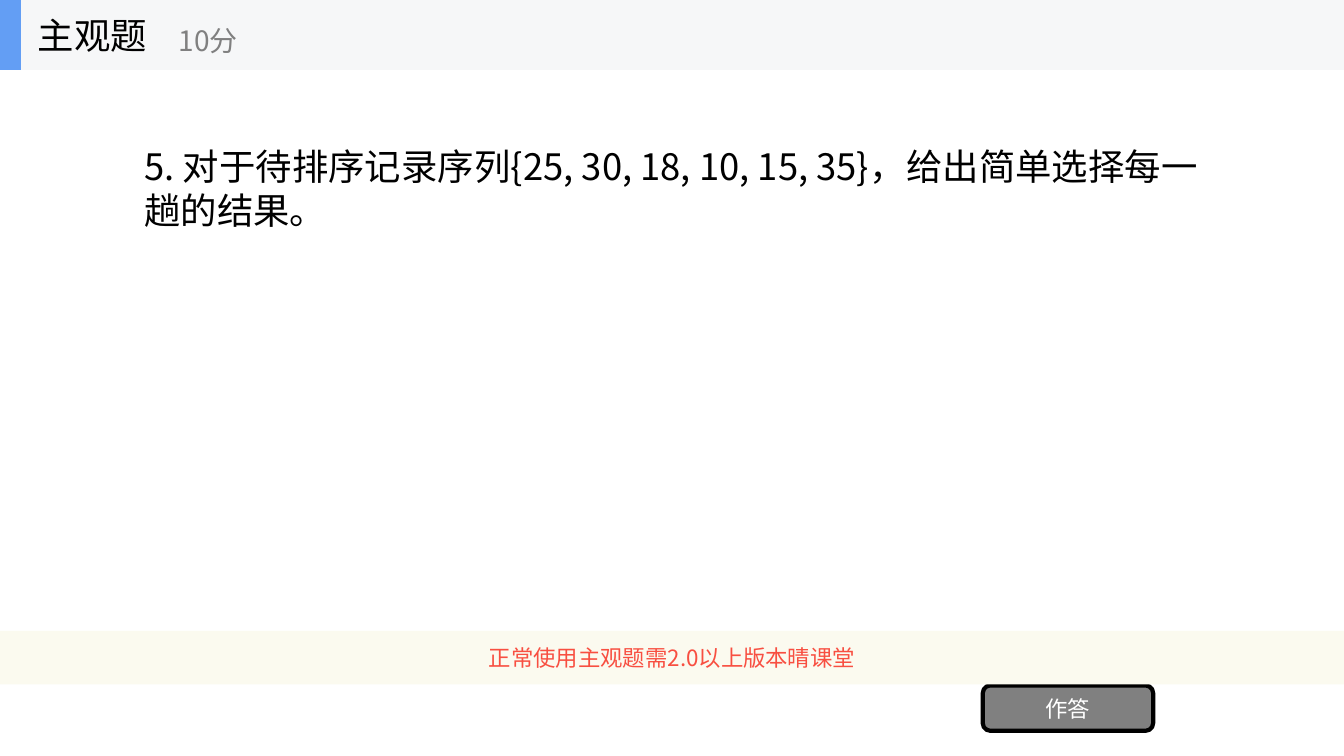
from lxml import etree
from pptx import Presentation
from pptx import util as u
from pptx.dml.color import RGBColor
from pptx.enum import shapes, text
from pptx.oxml.ns import qn

FONT = "Noto Sans CJK SC"
BLACK = RGBColor(0x00, 0x00, 0x00)
WHITE = RGBColor(0xFF, 0xFF, 0xFF)
GRAY = RGBColor(0x80, 0x80, 0x80)
PALE_GRAY = RGBColor(0xF6, 0xF7, 0xF8)
BLUE = RGBColor(0x63, 0x9E, 0xF4)
CREAM = RGBColor(0xFB, 0xFA, 0xEF)
RED = RGBColor(0xF8, 0x4F, 0x41)
RECT = shapes.MSO_SHAPE.RECTANGLE
ROUNDED = shapes.MSO_SHAPE.ROUNDED_RECTANGLE
LEFT, CENTER = text.PP_ALIGN.LEFT, text.PP_ALIGN.CENTER
WIDTH, HEIGHT = 960, 540
HEADER_HEIGHT = 50


def add_block(parent, preset, box, fill):
    block = parent.add_shape(preset, *map(u.Pt, box))
    block.shadow.inherit = False
    block.fill.solid()
    block.fill.fore_color.rgb = fill
    block.line.fill.background()
    return block


def write(shape, words, size, color, align=LEFT):
    frame = shape.text_frame
    frame.word_wrap = True
    frame.vertical_anchor = text.MSO_ANCHOR.MIDDLE
    frame.text = words
    paragraph = frame.paragraphs[0]
    paragraph.alignment = align
    paragraph.font.size = u.Pt(size)
    paragraph.font.name = FONT
    paragraph.font.color.rgb = color
    # East Asian typeface
    defaults = paragraph._p.pPr.find(qn("a:defRPr"))
    etree.SubElement(defaults, qn("a:ea"), typeface=FONT)


deck = Presentation()
deck.slide_width, deck.slide_height = u.Pt(WIDTH), u.Pt(HEIGHT)
slide = deck.slides.add_slide(deck.slide_layouts[6])

# Question
question = slide.shapes.add_textbox(u.Pt(96), u.Pt(HEADER_HEIGHT), u.Pt(768), u.Pt(168))
write(question, "5. 对于待排序记录序列{25, 30, 18, 10, 15, 35}，给出简单选择每一趟的结果。", 26, BLACK)

# Answer button, partly under the version notice
answer = add_block(slide.shapes, ROUNDED, (702, 489.6, 121.7, 32.4), GRAY)
answer.line.color.rgb = BLACK
answer.line.width = u.Pt(3)
write(answer, "作答", 16, WHITE, CENTER)

# Version notice
notice = add_block(slide.shapes, RECT, (0, 450.7, WIDTH, 38.2), CREAM)
write(notice, "正常使用主观题需2.0以上版本晴课堂", 16, RED, CENTER)

# Header: band, accent, question type and score
header = slide.shapes.add_group_shape().shapes
add_block(header, RECT, (0, 0, WIDTH, HEADER_HEIGHT), PALE_GRAY)
add_block(header, RECT, (0, 0, 15, HEADER_HEIGHT), BLUE)
question_type = header.add_textbox(u.Pt(20), u.Pt(0), u.Pt(150), u.Pt(HEADER_HEIGHT))
write(question_type, "主观题", 26, BLACK)
score = header.add_textbox(u.Pt(120.5), u.Pt(8.6), u.Pt(180), u.Pt(40.3))
write(score, "10分", 20, GRAY)

deck.save("out.pptx")
